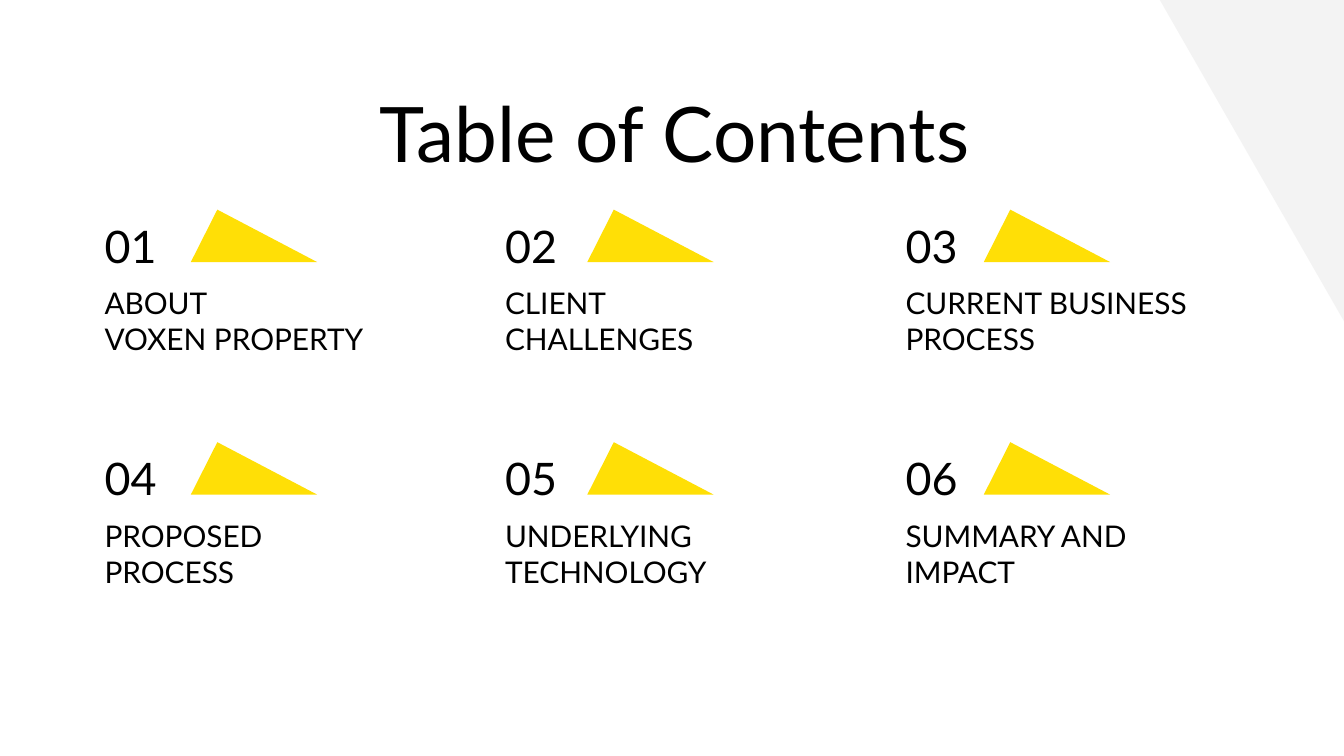
"""Build a table of contents slide with six numbered topics."""
import pptx
import pptx.dml.color
import pptx.enum.shapes
import pptx.enum.text
import pptx.util

BLACK = pptx.dml.color.RGBColor(0x00, 0x00, 0x00)
YELLOW = pptx.dml.color.RGBColor(0xFF, 0xDF, 0x06)
PALE_GREY = pptx.dml.color.RGBColor(0xF3, 0xF3, 0xF3)
FONT = "Lato"
SLIDE_WIDTH = 10
SLIDE_HEIGHT = SLIDE_WIDTH * 9 / 16
COLUMNS = 3
COLUMN_PITCH, MARKER_PITCH, ROW_PITCH = 2.98, 2.95, 1.73
TEXT_LEFT, MARKER_LEFT = 0.68, 1.42
NUMBER_TOP, TOPIC_TOP, MARKER_TOP = 1.63, 2.02, 1.56
ROW_HEIGHT = 0.39
TOPICS = [
    "ABOUT\nVOXEN PROPERTY",
    "CLIENT CHALLENGES",
    "CURRENT BUSINESS PROCESS",
    "PROPOSED PROCESS",
    "UNDERLYING TECHNOLOGY",
    "SUMMARY AND IMPACT",
]


def write_text(shape, text, size, alignment, anchor):
    """Fill a shape with text in the slide's typeface."""
    frame = shape.text_frame
    frame.text = text
    frame.word_wrap = True
    frame.auto_size = pptx.enum.text.MSO_AUTO_SIZE.NONE
    frame.vertical_anchor = anchor
    frame.margin_left = frame.margin_right = pptx.util.Inches(0.1)
    frame.margin_top = frame.margin_bottom = pptx.util.Inches(0.1)
    for paragraph in frame.paragraphs:
        paragraph.alignment = alignment
        for run in paragraph.runs:
            run.font.name = FONT
            run.font.size = pptx.util.Pt(size)
            run.font.color.rgb = BLACK


def add_label(slide, box, text, size, anchor):
    """Add a left-aligned text box."""
    label = slide.shapes.add_textbox(*map(pptx.util.Inches, box))
    write_text(label, text, size, pptx.enum.text.PP_ALIGN.LEFT, anchor)


def add_plain_shape(slide, kind, box, color):
    """Add a filled shape without outline or shadow."""
    shape = slide.shapes.add_shape(kind, *map(pptx.util.Inches, box))
    shape.shadow.inherit = False
    shape.fill.solid()
    shape.fill.fore_color.rgb = color
    shape.line.fill.background()
    return shape


def add_corner(slide):
    """Add the pale triangle in the top right corner."""
    width, height = 1.37, 2.39
    corner = add_plain_shape(
        slide, pptx.enum.shapes.MSO_SHAPE.RIGHT_TRIANGLE,
        (SLIDE_WIDTH - width, 0, width, height), PALE_GREY)
    corner.rotation = 180


def add_title(slide, text):
    """Place and format the title placeholder."""
    title = slide.shapes.title
    title.left, title.top, title.width, title.height = map(
        pptx.util.Inches, (0.59, 0.54, 8.86, 0.63))
    write_text(title, text, 41, pptx.enum.text.PP_ALIGN.CENTER,
               pptx.enum.text.MSO_ANCHOR.TOP)


def add_topic(slide, index, text):
    """Add one topic's marker, number and name in its grid cell."""
    row, column = divmod(index, COLUMNS)
    down = row * ROW_PITCH
    left = TEXT_LEFT + column * COLUMN_PITCH
    marker = add_plain_shape(
        slide, pptx.enum.shapes.MSO_SHAPE.ISOSCELES_TRIANGLE,
        (MARKER_LEFT + column * MARKER_PITCH, MARKER_TOP + down, 0.94, ROW_HEIGHT),
        YELLOW)
    marker.adjustments[0] = 0.21
    add_label(slide, (left, NUMBER_TOP + down, 1.18, ROW_HEIGHT),
              f"{index + 1:02}", 24, pptx.enum.text.MSO_ANCHOR.MIDDLE)
    add_label(slide, (left, TOPIC_TOP + down, 2.34, ROW_HEIGHT),
              text, 16, pptx.enum.text.MSO_ANCHOR.TOP)


def main():
    """Assemble and save the slide."""
    presentation = pptx.Presentation()
    presentation.slide_width = pptx.util.Inches(SLIDE_WIDTH)
    presentation.slide_height = pptx.util.Inches(SLIDE_HEIGHT)
    slide = presentation.slides.add_slide(
        presentation.slide_layouts.get_by_name("Title Only"))
    add_corner(slide)
    add_title(slide, "Table of Contents")
    for index, text in enumerate(TOPICS):
        add_topic(slide, index, text)
    presentation.save("out.pptx")


if __name__ == "__main__":
    main()
